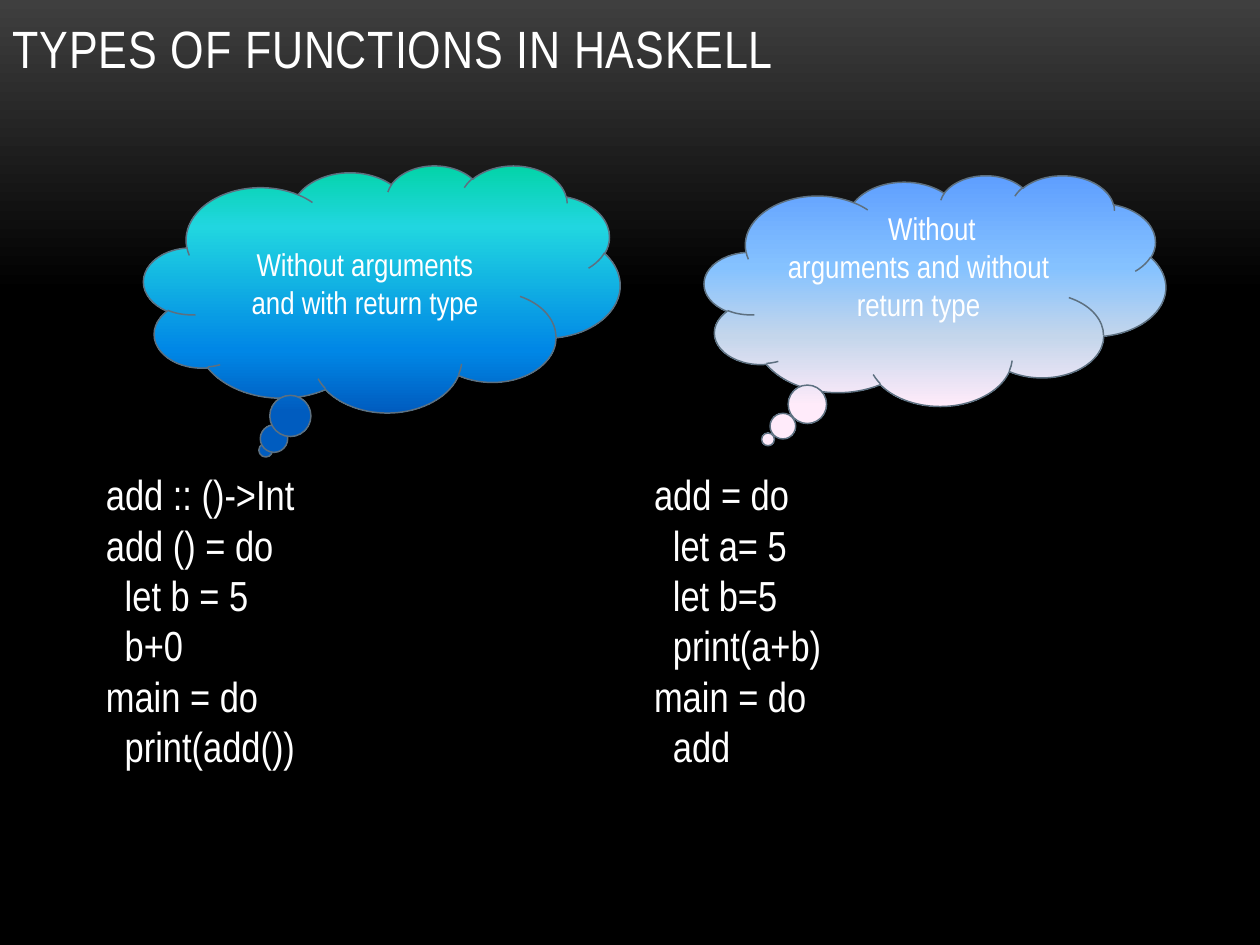
from dataclasses import dataclass

import lxml.etree
import pptx
import pptx.dml.color
import pptx.enum.shapes
import pptx.enum.text
import pptx.oxml.ns
import pptx.util

Cm, Pt, qn = pptx.util.Cm, pptx.util.Pt, pptx.oxml.ns.qn
RGB = pptx.dml.color.RGBColor.from_string
Align, Anchor = pptx.enum.text.PP_ALIGN, pptx.enum.text.MSO_ANCHOR

Box = tuple[float, float, float, float]  # left, top, width, height in cm
Stops = list[tuple[int, str]]  # percent, colour


@dataclass(frozen=True)
class Theme:
    font: str = "Arial Narrow"
    text: str = "FFFFFF"
    outline: str = "5D7080"
    title_size: int = 30
    code_size: int = 24
    cloud_size: int = 18
    code_indent: float = 0.38


@dataclass(frozen=True)
class Cloud:
    box: Box
    tail: tuple[float, float]
    stops: Stops
    text: str
    first_indent: float = 0
    bottom_inset: float = 0.13


@dataclass(frozen=True)
class Code:
    box: Box
    lines: list[tuple[int, str]]  # indent level, text


THEME = Theme()
BACKGROUND = [(0, "3F3F3F"), (31, "000000"), (100, "000000")]
TITLE_BOX = (0, 0, 22.3, 1.73)

CLOUDS = [
    Cloud((2.9, 3.33, 9.6, 4.98), (-0.244, 0.654),
          [(0, "03D4A8"), (25, "21D6E0"), (75, "0087E6"), (100, "005CBF")],
          "Without arguments\vand with return type"),
    Cloud((14.2, 3.53, 9.3, 4.65), (-0.362, 0.646),
          [(0, "5E9EFF"), (40, "85C2FF"), (70, "C4D6EB"), (100, "FFEBFA")],
          "Without\varguments and without\vreturn type",
          first_indent=0.54, bottom_inset=0.89),
]

CODES = [
    Code((1.88, 9.32, 8.64, 7.44),
         [(0, "add :: ()->Int"), (0, "add () = do"), (1, "let b = 5"),
          (1, "b+0"), (0, "main = do"), (1, "print(add())")]),
    Code((12.93, 9.32, 7.98, 6.4),
         [(0, "add = do"), (1, "let a= 5"), (1, "let b=5"),
          (1, "print(a+b)"), (0, "main = do"), (1, "add")]),
]


def place(sp, box: Box) -> None:
    sp.left, sp.top, sp.width, sp.height = map(Cm, box)


def set_gradient(fill, element, stops: Stops) -> None:
    """Fill from top to bottom through all the stops."""
    fill.gradient()
    fill.gradient_angle = 270
    stop_list = element.find(".//" + qn("a:gsLst"))
    for old in list(stop_list):
        stop_list.remove(old)
    for percent, color in stops:
        stop = lxml.etree.SubElement(stop_list, qn("a:gs"), pos=str(percent * 1000))
        lxml.etree.SubElement(stop, qn("a:srgbClr"), val=color)


def format_text(tf, size: int, align, anchor) -> None:
    tf.word_wrap = True
    tf.auto_size = pptx.enum.text.MSO_AUTO_SIZE.NONE
    tf.vertical_anchor = anchor
    for p in tf.paragraphs:
        p.alignment = align
        p.space_before = Pt(0)
        for r in p.runs:
            r.font.name = THEME.font
            r.font.size = Pt(size)
            r.font.color.rgb = RGB(THEME.text)


def set_indent(p, left: float, first: float = 0) -> None:
    pPr = p._p.get_or_add_pPr()
    pPr.set("marL", str(Cm(left)))
    pPr.set("indent", str(Cm(first)))


def fill_title(sp, text: str) -> None:
    place(sp, TITLE_BOX)
    sp.text_frame.text = text
    format_text(sp.text_frame, THEME.title_size, Align.LEFT, Anchor.BOTTOM)
    for r in sp.text_frame.paragraphs[0].runs:
        r.font._element.set("spc", "50")


def fill_code(sp, code: Code) -> None:
    place(sp, code.box)
    tf = sp.text_frame
    tf.text = "\n".join(text for _, text in code.lines)
    format_text(tf, THEME.code_size, Align.LEFT, Anchor.TOP)
    for p, (level, _) in zip(tf.paragraphs, code.lines):
        set_indent(p, level * THEME.code_indent)
        lxml.etree.SubElement(p._p.get_or_add_pPr(), qn("a:buNone"))


def add_cloud(slide, cloud: Cloud) -> None:
    sp = slide.shapes.add_shape(pptx.enum.shapes.MSO_SHAPE.CLOUD_CALLOUT,
                                *map(Cm, cloud.box))
    sp.adjustments[0], sp.adjustments[1] = cloud.tail
    sp.shadow.inherit = False
    set_gradient(sp.fill, sp._element.spPr, cloud.stops)
    sp.line.color.rgb = RGB(THEME.outline)
    sp.line.width = Pt(0.85)
    tf = sp.text_frame
    tf.text = cloud.text
    tf.margin_bottom = Cm(cloud.bottom_inset)
    format_text(tf, THEME.cloud_size, Align.CENTER, Anchor.MIDDLE)
    set_indent(tf.paragraphs[0], 0, cloud.first_indent)


def main() -> None:
    prs = pptx.Presentation()
    prs.slide_width, prs.slide_height = Cm(25.4), Cm(19.05)
    slide = prs.slides.add_slide(prs.slide_layouts.get_by_name("Two Content"))

    # Background and title
    set_gradient(slide.background.fill, slide._element, BACKGROUND)
    fill_title(slide.shapes.title, "TYPES OF FUNCTIONS IN HASKELL")

    # One cloud above each code sample
    bodies = list(slide.placeholders)[1:]
    for sp, code, cloud in zip(bodies, CODES, CLOUDS):
        fill_code(sp, code)
        add_cloud(slide, cloud)

    prs.save("out.pptx")


if __name__ == "__main__":
    main()
